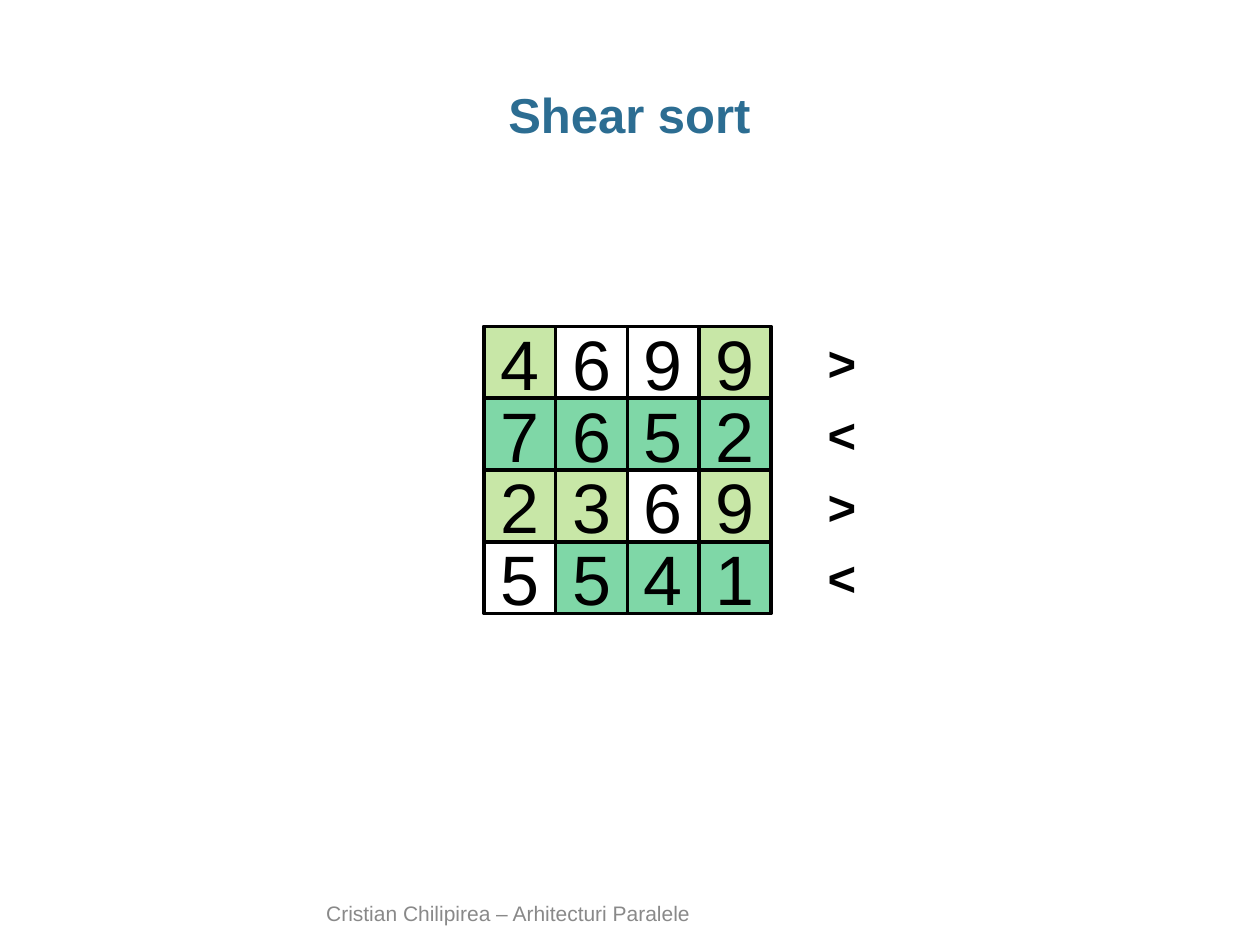
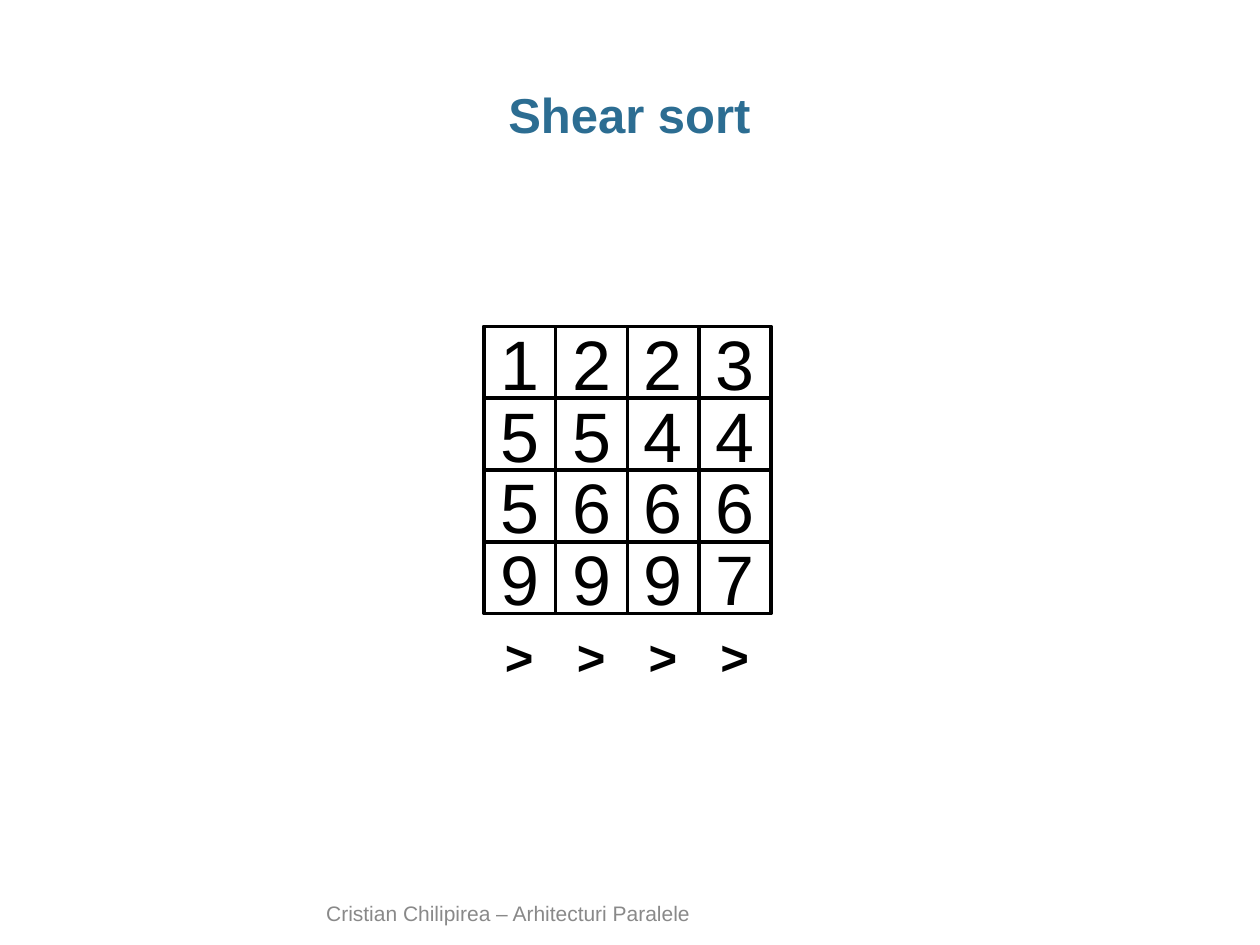
from pptx import Presentation
from pptx.dml.color import RGBColor
from pptx.enum.shapes import MSO_SHAPE
from pptx.enum.text import MSO_ANCHOR, MSO_AUTO_SIZE, PP_ALIGN
from pptx.oxml.ns import qn
from pptx.util import Inches, Pt
from lxml import etree

RECTANGLE = MSO_SHAPE.RECTANGLE
MIDDLE, BOTTOM = MSO_ANCHOR.MIDDLE, MSO_ANCHOR.BOTTOM
LEFT, CENTER = PP_ALIGN.LEFT, PP_ALIGN.CENTER
GROW = MSO_AUTO_SIZE.SHAPE_TO_FIT_TEXT
TITLE_ONLY = 5

COLORS = {
    "title": "2C6D92",
    "footer": "898989",
    "ink": "000000",
    "ascending": "92D050",
    "descending": "00B050",
}
FONT = "Arial"
TITLE = "Shear sort"
FOOTER = "Cristian Chilipirea – Arhitecturi Paralele"

# Grid geometry in inches
GRID_LEFT, GRID_TOP, CELL = 3.84, 2.59, 0.57
MARK_WIDTH = 0.43
ROW_MARK_LEFT, COLUMN_MARK_TOP = 6.47, 4.92

# Fill of each cell: A ascending row, D descending row, . none
FILLS = {"A": "ascending", "D": "descending"}


def write(shape, text, size, color, bold=False, align=LEFT):
    para = shape.text_frame.paragraphs[0]
    para.text = text
    para.alignment = align
    font = para.font
    font.name, font.size, font.bold = FONT, Pt(size), bold
    font.color.rgb = RGBColor.from_string(COLORS[color])
    return para


def place(shape, left, top, width, height):
    shape.left, shape.top = Inches(left), Inches(top)
    shape.width, shape.height = Inches(width), Inches(height)


def add_title(page):
    title = page.shapes.title
    place(title, 0.34, 0.68, 9.31, 0.5)
    frame = title.text_frame
    frame.margin_left = frame.margin_right = 0
    frame.vertical_anchor = MIDDLE
    para = write(title, TITLE, 28, "title", bold=True, align=CENTER)
    para.line_spacing = 0.95


def add_footer(page):
    box = page.shapes.add_textbox(
        Inches(2.49), Inches(7.16), Inches(5.02), Inches(0.24))
    box.text_frame.word_wrap = True
    box.text_frame.vertical_anchor = BOTTOM
    write(box, FOOTER, 12, "footer")


def fill_half_transparent(shape, color):
    shape.fill.solid()
    shape.fill.fore_color.rgb = RGBColor.from_string(COLORS[color])
    color_node = shape.element.spPr.find(qn("a:solidFill")).find(qn("a:srgbClr"))
    etree.SubElement(color_node, qn("a:alpha")).set("val", "50000")


def add_cell(page, left, top, number, fill):
    cell = page.shapes.add_shape(
        RECTANGLE, Inches(left), Inches(top), Inches(CELL), Inches(CELL))
    cell.shadow.inherit = False
    if fill in FILLS:
        fill_half_transparent(cell, FILLS[fill])
    else:
        cell.fill.background()
    cell.line.color.rgb = RGBColor.from_string(COLORS["ink"])
    cell.line.width = Pt(2)
    cell.text_frame.vertical_anchor = MIDDLE
    write(cell, number, 40, "ink", align=CENTER)


def add_grid(page, numbers, fills):
    for row, (number_row, fill_row) in enumerate(zip(numbers, fills)):
        for column, (number, fill) in enumerate(zip(number_row, fill_row)):
            add_cell(page, GRID_LEFT + column * CELL, GRID_TOP + row * CELL,
                     number, fill)


def add_mark(page, left, top, sign):
    box = page.shapes.add_textbox(
        Inches(left), Inches(top), Inches(MARK_WIDTH), Inches(CELL))
    box.text_frame.word_wrap = False
    box.text_frame.auto_size = GROW
    write(box, sign, 28, "ink", bold=True)


def add_row_marks(page, signs):
    for row, sign in enumerate(signs):
        add_mark(page, ROW_MARK_LEFT, GRID_TOP + row * CELL, sign)


def add_column_marks(page, signs):
    first_left = GRID_LEFT + (CELL - MARK_WIDTH) / 2
    for column, sign in enumerate(signs):
        add_mark(page, first_left + column * CELL, COLUMN_MARK_TOP, sign)


def add_page(deck, numbers, fills):
    page = deck.slides.add_slide(deck.slide_layouts[TITLE_ONLY])
    add_footer(page)
    add_title(page)
    add_grid(page, numbers, fills)
    return page


def main():
    deck = Presentation()
    deck.slide_width, deck.slide_height = Inches(10), Inches(7.5)

    # Rows sorted in alternating directions
    page = add_page(deck, ["4699", "7652", "2369", "5541"],
                    ["A..A", "DDDD", "AA.A", ".DDD"])
    add_row_marks(page, "><><")

    # Columns sorted
    page = add_page(deck, ["1223", "5544", "5666", "9997"], ["...."] * 4)
    add_column_marks(page, ">>>>")

    deck.save("out.pptx")


if __name__ == "__main__":
    main()
